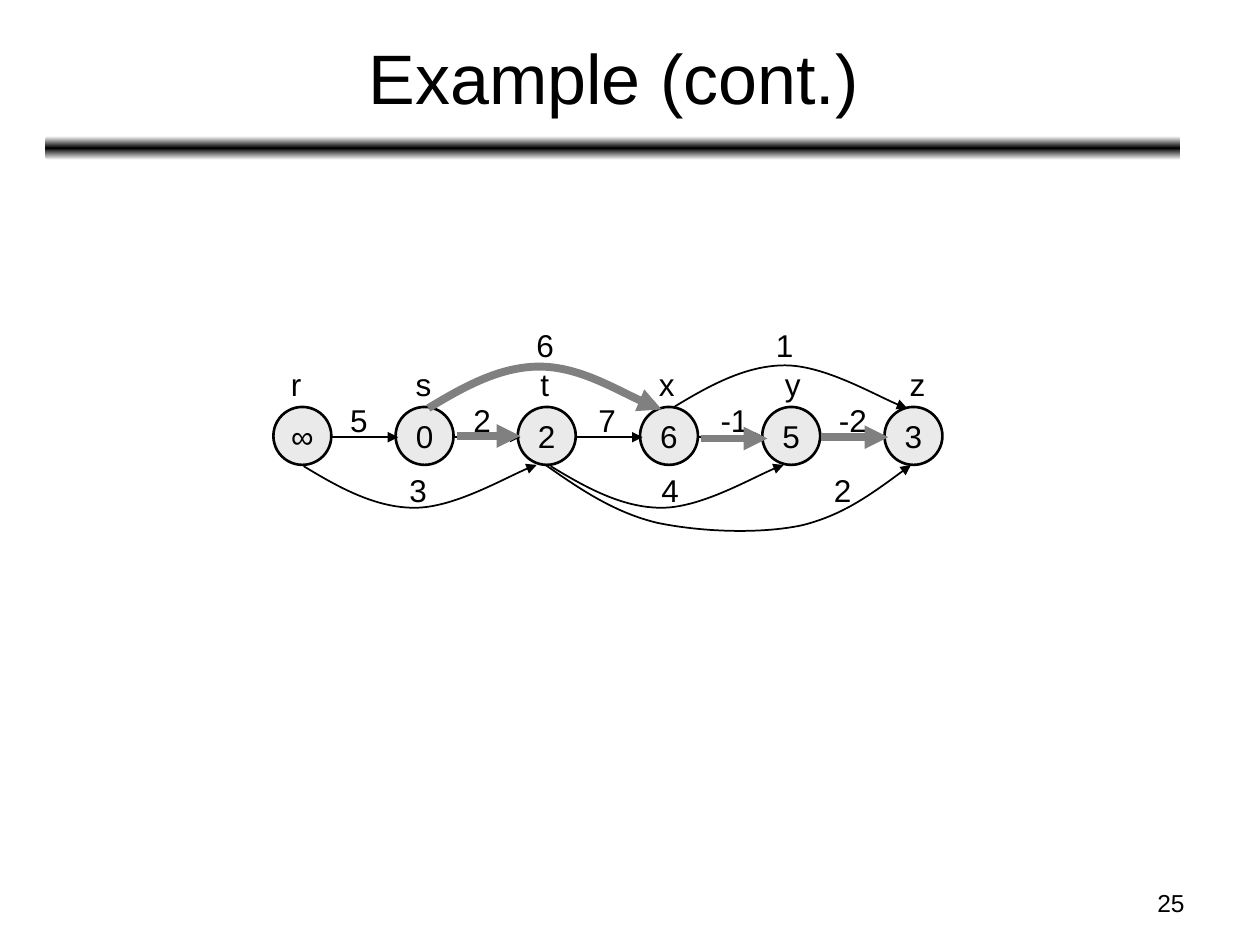
from copy import deepcopy
from pptx import Presentation
from pptx.dml.color import RGBColor as RGB
from pptx.enum.shapes import MSO_CONNECTOR as Link, MSO_SHAPE as Shape
from pptx.enum.text import MSO_ANCHOR as Anchor, MSO_AUTO_SIZE as Fit, PP_ALIGN as Align
from pptx.oxml.ns import qn
from pptx.oxml.xmlchemy import OxmlElement as Node
from pptx.util import Inches, Pt

HUES = {"ink": "000000", "paper": "FFFFFF", "node": "EAEAEA", "mark": "808080"}
WIDTHS = {"r": 0.28, "t": 0.27, "s": 0.32, "x": 0.32, "y": 0.32, "z": 0.32,
          "-1": 0.42, "-2": 0.42}
LEFT, STEP, SIZE, TOP = 2.17, 0.97, 0.46, 3.23
ARC = [(0, 0), (0.28, 0.17), (0.57, 0.33), (0.88, 0.33),
       (1.19, 0.33), (1.69, 0.04), (1.85, -0.01)]
SWEEP = [(4.33, 3.69), (4.6, 3.88), (4.88, 4.07), (5.22, 4.15), (5.56, 4.22),
         (6.02, 4.24), (6.36, 4.17), (6.69, 4.09), (6.96, 3.89), (7.23, 3.69)]


def hue(name):
    return RGB.from_string(HUES[name])


def write(shape, text, size=18, align=Align.LEFT, anchor=Anchor.TOP, wrap=False):
    frame = shape.text_frame
    frame.word_wrap = wrap
    frame.vertical_anchor = anchor
    para = frame.paragraphs[0]
    para.alignment = align
    run = para.add_run()
    run.text = text
    run.font.size = Pt(size)
    run.font.name = "Arial"
    run.font.color.rgb = hue("ink")


def add_text(slide, text, x, y, w, h, **style):
    box = slide.shapes.add_textbox(Inches(x), Inches(y), Inches(w), Inches(h))
    write(box, text, **style)
    return box


def add_label(slide, text, x, y):
    box = add_text(slide, text, x, y, WIDTHS.get(text, 0.34), 0.4)
    box.text_frame.auto_size = Fit.SHAPE_TO_FIT_TEXT


def add_bar(slide):
    bar = slide.shapes.add_shape(
        Shape.ROUNDED_RECTANGLE, Inches(0.36), Inches(1.08), Inches(9.01), Inches(0.19))
    bar.shadow.inherit = False
    bar.line.fill.background()
    bar.fill.gradient()
    bar.fill.gradient_angle = 90
    stops = bar._element.spPr.find(qn("a:gradFill")).find(qn("a:gsLst"))
    stops.append(deepcopy(stops[-1]))
    for stop, spot, name in zip(bar.fill.gradient_stops, (0, 0.5, 1), ("paper", "ink", "paper")):
        stop.position = spot
        stop.color.rgb = hue(name)


def add_node(slide, text, x):
    disc = slide.shapes.add_shape(
        Shape.OVAL, Inches(x), Inches(TOP), Inches(SIZE), Inches(SIZE))
    disc.shadow.inherit = False
    disc.fill.solid()
    disc.fill.fore_color.rgb = hue("node")
    disc.line.color.rgb = hue("ink")
    disc.line.width = Pt(1.5)
    write(disc, text, align=Align.CENTER, anchor=Anchor.MIDDLE)


def style_arrow(shape, color, width):
    shape.line.color.rgb = hue(color)
    shape.line.width = Pt(width)
    props = shape._element.spPr
    tail = Node("a:tailEnd")
    tail.set("type", "triangle")
    props.find(qn("a:ln")).append(tail)
    props.append(Node("a:effectLst"))


def add_arrow(slide, x, end, y, color="ink", width=1):
    line = slide.shapes.add_connector(
        Link.STRAIGHT, Inches(x), Inches(y), Inches(end), Inches(y))
    style_arrow(line, color, width)


def round_off(shape):
    legs = list(shape._element.spPr.iter(qn("a:lnTo")))
    for i in range(0, len(legs), 3):
        cubic = Node("a:cubicBezTo")
        legs[i].addprevious(cubic)
        for leg in legs[i:i + 3]:
            cubic.append(leg[0])
            leg.getparent().remove(leg)


def add_curve(slide, knots, color="ink", width=1):
    dots = [(Inches(x), Inches(y)) for x, y in knots]
    pen = slide.shapes.build_freeform(*dots[0])
    pen.add_line_segments(dots[1:], close=False)
    curve = pen.convert_to_shape()
    round_off(curve)
    curve.fill.background()
    style_arrow(curve, color, width)


def bend(x, y, way):
    return [(x + dx, y + way * dy) for dx, dy in ARC]


def main():
    deck = Presentation()
    deck.slide_width, deck.slide_height = Inches(10), Inches(7.5)
    slide = deck.slides.add_slide(deck.slide_layouts[6])
    add_bar(slide)
    add_text(slide, "25", 7.17, 7, 2.33, 0.35, size=14, align=Align.RIGHT, wrap=True)
    add_text(slide, "Example (cont.)", 0.37, 0.11, 9, 0.99, size=40,
             align=Align.CENTER, anchor=Anchor.MIDDLE, wrap=True)

    for i, text in enumerate("∞02653"):
        add_node(slide, text, LEFT + i * STEP)
    for text, x in zip("rstxyz", (2.21, 3.2, 4.19, 5.13, 6.13, 7.12)):
        add_label(slide, text, x, 2.85)

    for i in range(5):
        x = LEFT + SIZE + i * STEP
        add_arrow(slide, x, x + 0.53, 3.47)
    for x, y, way in ((3.39, 3.23, -1), (5.35, 3.23, -1), (4.37, 3.7, 1), (2.41, 3.7, 1)):
        add_curve(slide, bend(x, y, way))
    add_curve(slide, SWEEP)

    costs = {
        2.54: (("6", 4.16), ("1", 6.06)),
        3.13: (("5", 2.68), ("2", 3.66), ("7", 4.65), ("-1", 5.62), ("-2", 6.56)),
        3.69: (("3", 3.15), ("4", 5.15), ("2", 6.52)),
    }
    for y, row in costs.items():
        for text, x in row:
            add_label(slide, text, x, y)

    for x, end, y in ((3.63, 4.13, 3.46), (5.56, 6.09, 3.48), (6.52, 7.05, 3.47)):
        add_arrow(slide, x, end, y, color="mark", width=4.5)
    add_curve(slide, bend(3.4, 3.24, -1), color="mark", width=4.5)
    deck.save("out.pptx")


if __name__ == "__main__":
    main()
